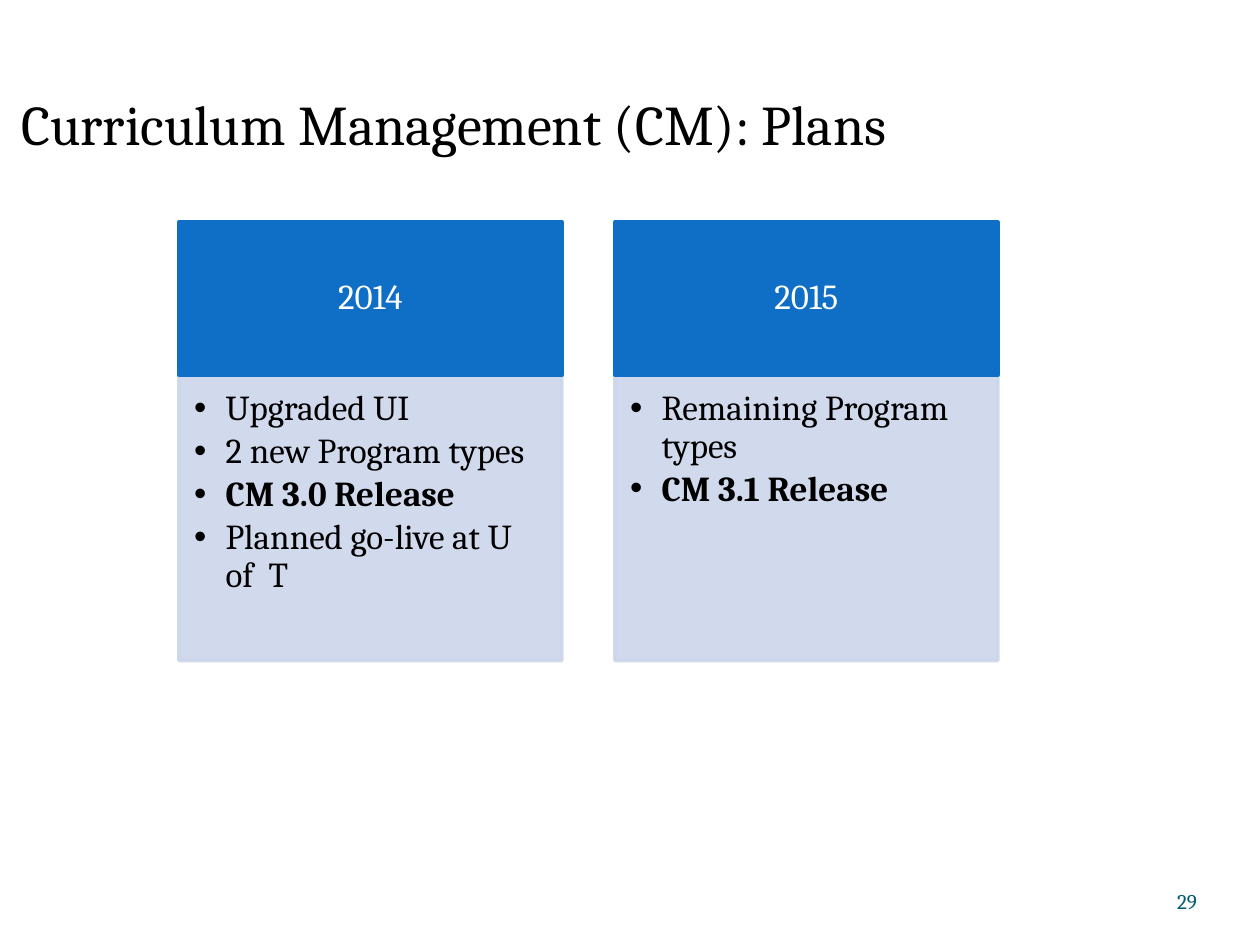
from dataclasses import dataclass

from lxml import etree
from pptx import Presentation
from pptx.dml.color import RGBColor
from pptx.enum.shapes import MSO_SHAPE
from pptx.enum.text import MSO_ANCHOR, MSO_AUTO_SIZE, PP_ALIGN
from pptx.oxml.ns import qn
from pptx.util import Inches, Pt

RECT = MSO_SHAPE.RECTANGLE
TOP, MIDDLE = MSO_ANCHOR.TOP, MSO_ANCHOR.MIDDLE
LEFT, CENTER, RIGHT = PP_ALIGN.LEFT, PP_ALIGN.CENTER, PP_ALIGN.RIGHT
NO_AUTOFIT = MSO_AUTO_SIZE.NONE
TWO_CONTENT = 3


@dataclass(frozen=True)
class Theme:
    font: str = "Cambria"
    text: str = "000000"
    inverse: str = "FFFFFF"
    header: str = "0F6FC6"
    panel: str = "CCD5EA"
    number: str = "045D75"
    panel_opacity: int = 90
    title_size: int = 32
    body_size: int = 20
    number_size: int = 12
    line_width: int = 2


class SlideBuilder:
    def __init__(self, prs, theme):
        self.prs = prs
        self.theme = theme
        self.slide = prs.slides.add_slide(prs.slide_layouts[TWO_CONTENT])

    def box(self, x, y, w, h):
        width, height = self.prs.slide_width, self.prs.slide_height
        return [int(share * side / 100) for share, side in
                ((x, width), (y, height), (w, width), (h, height))]

    def place(self, sp, area):
        sp.left, sp.top, sp.width, sp.height = self.box(*area)

    def frame(self, sp, insets, anchor):
        tf = sp.text_frame
        tf.word_wrap = True
        tf.auto_size = NO_AUTOFIT
        tf.vertical_anchor = anchor
        tf.margin_left, tf.margin_top, tf.margin_right, tf.margin_bottom = map(Inches, insets)
        return tf

    def run(self, p, text, size, color, align=LEFT, bold=False):
        p.alignment = align
        r = p.add_run()
        r.text = text
        r.font.name = self.theme.font
        r.font.size = Pt(size)
        r.font.bold = bold
        r.font.color.rgb = RGBColor.from_string(color)

    def paint(self, sp, color, opacity=100):
        rgb = RGBColor.from_string(color)
        sp.fill.solid()
        sp.fill.fore_color.rgb = rgb
        sp.line.color.rgb = rgb
        sp.line.width = Pt(self.theme.line_width)
        if opacity < 100:
            for clr in sp._element.spPr.iter(qn("a:srgbClr")):
                etree.SubElement(clr, qn("a:alpha"), val=str(opacity * 1000))

    def title(self, text, area):
        sp = self.slide.shapes.title
        self.place(sp, area)
        tf = self.frame(sp, (0, 0.05, 0, 0), MIDDLE)
        self.run(tf.paragraphs[0], text, self.theme.title_size, self.theme.text)

    def header(self, text, area):
        sp = self.slide.shapes.add_shape(RECT, *self.box(*area))
        sp.shadow.inherit = False
        self.paint(sp, self.theme.header)
        p = self.frame(sp, (0.16, 0.09, 0.16, 0.09), MIDDLE).paragraphs[0]
        p.line_spacing = 0.9
        self.run(p, text, self.theme.body_size, self.theme.inverse, CENTER)

    def panel(self, idx, items, area):
        sp = self.slide.placeholders[idx]
        self.place(sp, area)
        self.paint(sp, self.theme.panel, self.theme.panel_opacity)
        tf = self.frame(sp, (0.12, 0.12, 0.16, 0.17), TOP)
        for i, (text, bold) in enumerate(items):
            p = tf.add_paragraph() if i else tf.paragraphs[0]
            self.bullet(p)
            self.run(p, text, self.theme.body_size, self.theme.text, bold=bold)

    def bullet(self, p):
        p.level = 1
        p.line_spacing = 0.9
        p.space_before = Pt(0)
        p.space_after = Pt(0.15 * self.theme.body_size)
        pPr = p._p.get_or_add_pPr()
        pPr.set("marL", str(Inches(0.25)))
        pPr.set("indent", str(Inches(-0.25)))
        etree.SubElement(pPr, qn("a:buChar"), char="•")

    def number(self, text, area):
        sp = self.slide.shapes.add_textbox(*self.box(*area))
        tf = self.frame(sp, (0, 0, 0, 0), MIDDLE)
        self.run(tf.paragraphs[0], text, self.theme.number_size, self.theme.number, RIGHT)


PLANS = [
    ("2014", [("Upgraded UI", False), ("2 new Program types", False),
              ("CM 3.0 Release", True), ("Planned go-live at U of  T", False)]),
    ("2015", [("Remaining Program types", False), ("CM 3.1 Release", True)]),
]
COLUMN_LEFT, COLUMN_WIDTH, COLUMN_STEP = 14.2, 30.4, 34.6
HEADER_TOP, HEADER_HEIGHT, PANEL_HEIGHT = 23.5, 16.2, 30.2


def main():
    prs = Presentation()
    prs.slide_width, prs.slide_height = Inches(10), Inches(7.5)
    s = SlideBuilder(prs, Theme())
    s.title("Curriculum Management (CM): Plans", (1.7, 4.4, 96.7, 16.7))
    s.number("29", (86.7, 92.7, 8.3, 5.3))
    for i, (year, items) in enumerate(PLANS):
        x = COLUMN_LEFT + i * COLUMN_STEP
        s.header(year, (x, HEADER_TOP, COLUMN_WIDTH, HEADER_HEIGHT))
        s.panel(i + 1, items, (x, HEADER_TOP + HEADER_HEIGHT, COLUMN_WIDTH, PANEL_HEIGHT))
    prs.save("out.pptx")


if __name__ == "__main__":
    main()
